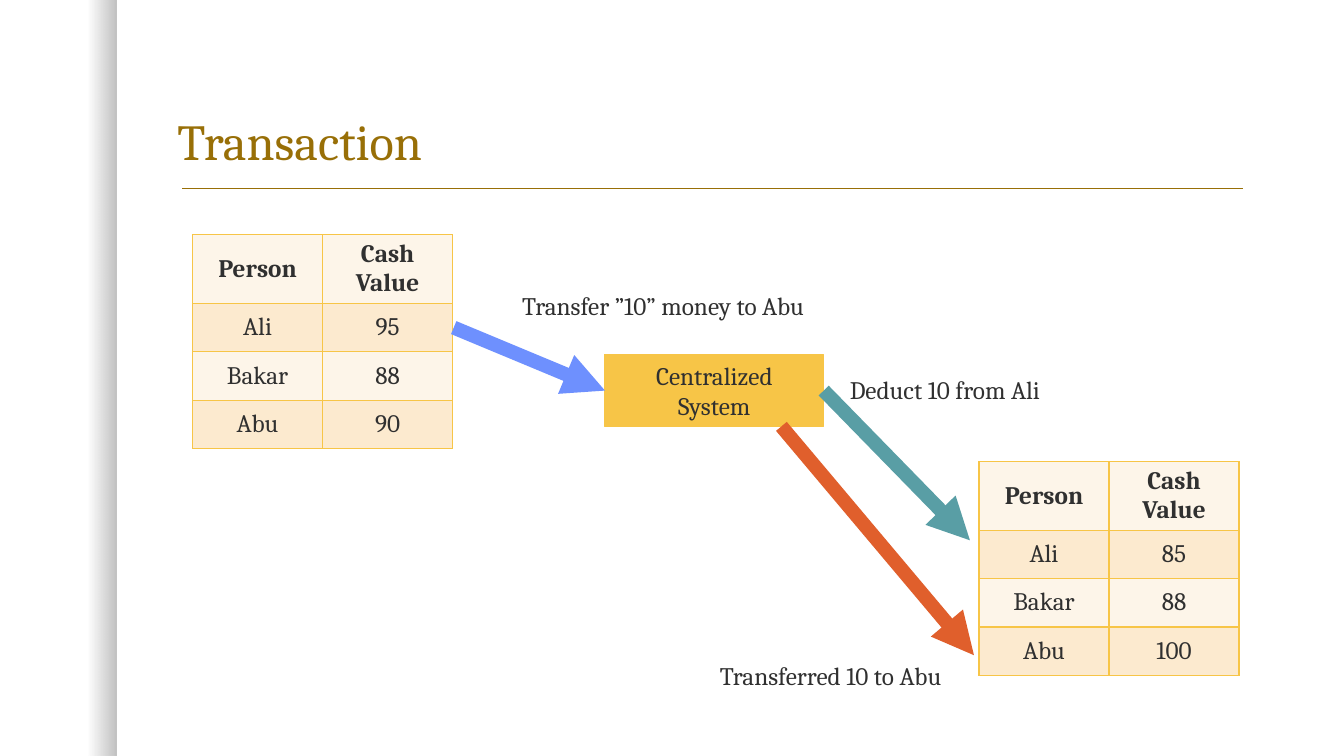
from lxml.etree import SubElement
from pptx import Presentation
from pptx.dml.color import RGBColor
from pptx.enum.shapes import MSO_CONNECTOR, MSO_SHAPE
from pptx.enum.text import MSO_ANCHOR, PP_ALIGN
from pptx.oxml import parse_xml
from pptx.oxml.ns import nsdecls, qn
from pptx.util import Inches, Pt

COLORS = {
    "gold": "F7C547",
    "dark gold": "986F07",
    "text": "303030",
    "cream": "FDF5E9",
    "peach": "FCEACF",
    "blue": "6E90FE",
    "orange": "E05F2C",
    "teal": "599EA5",
    "shadow": "000000",
}
LEFT_SIDE, RIGHT_SIDE = 1, 3


def rgb(name):
    return RGBColor.from_string(COLORS[name])


class SlideBuilder:
    font_name = "Cambria"
    text_size = 18

    def __init__(self, presentation):
        self.slide = presentation.slides.add_slide(presentation.slide_layouts[5])
        self.shapes = self.slide.shapes

    def style(self, paragraph, size=text_size, color="text", bold=False, align=PP_ALIGN.LEFT):
        paragraph.alignment = align
        font = paragraph.font
        font.name, font.size, font.bold = self.font_name, Pt(size), bold
        font.color.rgb = rgb(color)

    def title(self, text, left, top, width, height):
        title = self.shapes.title
        title.left, title.top = Inches(left), Inches(top)
        title.width, title.height = Inches(width), Inches(height)
        title.text_frame.text = text
        title.text_frame.vertical_anchor = MSO_ANCHOR.BOTTOM
        paragraph = title.text_frame.paragraphs[0]
        self.style(paragraph, size=36, color="dark gold")
        paragraph.line_spacing = 0.9

    def rectangle(self, left, top, width, height):
        shape = self.shapes.add_shape(
            MSO_SHAPE.RECTANGLE, Inches(left), Inches(top), Inches(width), Inches(height))
        shape.shadow.inherit = False
        return shape

    def edge_shade(self, width, height):
        """Darken the left page edge with a gradient that fades in from clear."""
        shape = self.rectangle(0, 0, width, height)
        shape.line.fill.background()
        shape.fill.gradient()
        shape.fill.gradient_angle = 0
        for stop, position in zip(shape.fill.gradient_stops, (0.75, 1)):
            stop.position = position
            stop.color.rgb = rgb("shadow")
        for color, opacity in zip(shape._element.spPr.iter(qn("a:srgbClr")), (0, 25)):
            SubElement(color, qn("a:alpha"), val=str(opacity * 1000))

    def box(self, lines, left, top, width, height):
        shape = self.rectangle(left, top, width, height)
        shape.fill.solid()
        shape.fill.fore_color.rgb = rgb("gold")
        shape.line.color.rgb = rgb("gold")
        shape.line.width = Pt(0.75)
        shape.text_frame.text = "\n".join(lines)
        for paragraph in shape.text_frame.paragraphs:
            self.style(paragraph, align=PP_ALIGN.CENTER)
        return shape

    def label(self, text, left, top, width):
        box = self.shapes.add_textbox(Inches(left), Inches(top), Inches(width), Inches(0.4))
        box.text_frame.word_wrap = False
        box.text_frame.text = text
        self.style(box.text_frame.paragraphs[0])

    def line(self, start, end, color, width):
        connector = self.shapes.add_connector(
            MSO_CONNECTOR.STRAIGHT, *(Inches(value) for value in (*start, *end)))
        connector.line.color.rgb = rgb(color)
        connector.line.width = Pt(width)
        SubElement(connector._element.spPr, qn("a:effectLst"))
        return connector

    def arrow(self, start, end, color):
        connector = self.line(start, end, color, 10)
        outline = connector._element.spPr.find(qn("a:ln"))
        SubElement(outline, qn("a:tailEnd"), type="triangle")
        return connector

    def cell_borders(self, cell):
        properties = cell._tc.get_or_add_tcPr()
        for index, side in enumerate("LRTB"):
            properties.insert(index, parse_xml(
                f'<a:ln{side} {nsdecls("a")} w="{Pt(1)}"><a:solidFill>'
                f'<a:srgbClr val="{COLORS["gold"]}"/></a:solidFill></a:ln{side}>'))

    def balance_table(self, left, top, balances):
        rows = [("Person", "Cash Value"), *balances.items()]
        heights = [0.68] + [0.48] * len(balances)
        table = self.shapes.add_table(
            len(rows), 2, Inches(left), Inches(top), Inches(2.58), Inches(sum(heights))).table
        for row_index, values in enumerate(rows):
            table.rows[row_index].height = Inches(heights[row_index])
            for column_index, value in enumerate(values):
                cell = table.cell(row_index, column_index)
                cell.text = str(value)
                cell.vertical_anchor = MSO_ANCHOR.MIDDLE
                cell.fill.solid()
                cell.fill.fore_color.rgb = rgb("peach" if row_index % 2 else "cream")
                self.cell_borders(cell)
                self.style(cell.text_frame.paragraphs[0], bold=row_index == 0,
                           align=PP_ALIGN.CENTER)


def main():
    presentation = Presentation()
    presentation.slide_width, presentation.slide_height = Inches(13.33), Inches(7.5)
    builder = SlideBuilder(presentation)

    builder.edge_shade(1.16, 7.5)
    builder.line((1.81, 1.87), (12.33, 1.87), "dark gold", 1)
    builder.title("Transaction", 1.66, 0.42, 10.75, 1.33)

    builder.balance_table(1.91, 2.33, {"Ali": 95, "Bakar": 88, "Abu": 90})
    builder.balance_table(9.71, 4.58, {"Ali": 85, "Bakar": 88, "Abu": 100})

    system = builder.box(["Centralized", "System"], 6, 3.52, 2.17, 0.71)
    request = builder.arrow((4.5, 3.25), (6, 3.88), "blue")
    request.end_connect(system, LEFT_SIDE)
    builder.arrow((7.75, 4.23), (9.66, 6.5), "orange")
    deduction = builder.arrow((8.17, 3.88), (9.62, 5.36), "teal")
    deduction.begin_connect(system, RIGHT_SIDE)

    builder.label("Transfer ”10” money to Abu", 5.08, 2.83, 3.25)
    builder.label("Transferred 10 to Abu", 7.04, 6.5, 2.58)
    builder.label("Deduct 10 from Ali", 8.33, 3.66, 2.24)

    presentation.save("out.pptx")


if __name__ == "__main__":
    main()
